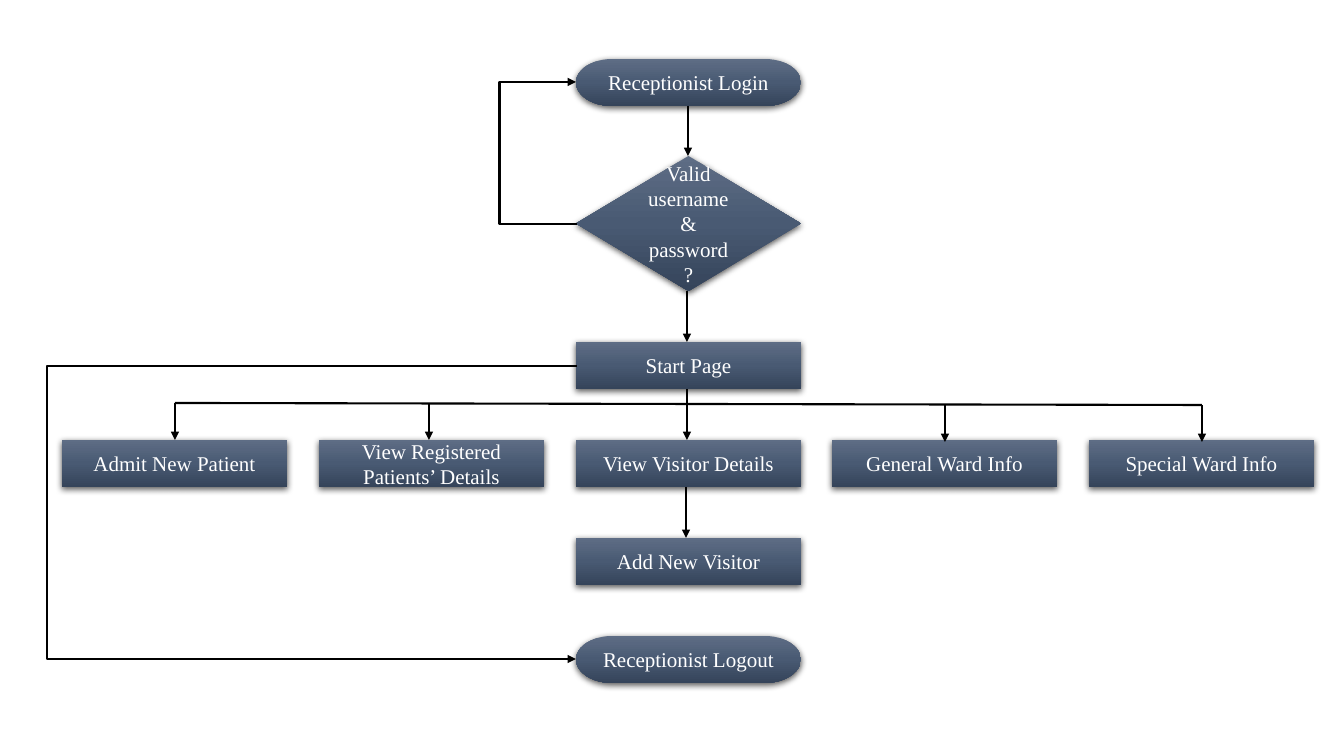
import pptx
import pptx.util
import pptx.dml.color
import pptx.enum.shapes
import pptx.enum.text
import pptx.oxml
import pptx.oxml.ns

EMU_PER_PIXEL = 914400 / 100.8
Kind = pptx.enum.shapes.MSO_SHAPE
Wire = pptx.enum.shapes.MSO_CONNECTOR


def emu(pixels):
    return pptx.util.Emu(round(pixels * EMU_PER_PIXEL))


def color(value):
    return pptx.dml.color.RGBColor.from_string(value)


def element(xml):
    """Parse a DrawingML fragment whose root tag has the prefix a."""
    head, mark, rest = xml.partition(">")
    slash = "/" if head.endswith("/") else ""
    names = pptx.oxml.ns.nsdecls("a")
    return pptx.oxml.parse_xml(f"{head.rstrip('/')} {names}{slash}{mark}{rest}")


def write(frame, text, size=15, font="Times New Roman", ink="FFFFFF"):
    frame.word_wrap = True
    frame.vertical_anchor = pptx.enum.text.MSO_ANCHOR.MIDDLE
    para = frame.paragraphs[0]
    para.alignment = pptx.enum.text.PP_ALIGN.CENTER
    span = para.add_run()
    span.text = text
    span.font.size = pptx.util.Pt(size)
    span.font.name = font
    span.font.color.rgb = color(ink)


class Flowchart:
    stops = ((0, "5E6D85"), (50, "495A73"), (100, "35445A"))
    line_color = "000000"
    line_width = 1.5

    def __init__(self, page):
        self.page = page

    def node(self, text, left, top, kind=Kind.RECTANGLE, width=225, height=47):
        box = self.page.shapes.add_shape(
            kind, emu(left), emu(top), emu(width), emu(height))
        box.line.fill.background()
        box.fill.gradient()
        box.fill.gradient_angle = 270
        stop_list = box._element.spPr.find(".//" + pptx.oxml.ns.qn("a:gsLst"))
        for stop in list(stop_list):
            stop_list.remove(stop)
        for percent, value in self.stops:
            stop_list.append(element(
                f'<a:gs pos="{percent * 1000}"><a:srgbClr val="{value}"/></a:gs>'))
        box._element.spPr.append(element(
            '<a:effectLst><a:outerShdw blurRad="57150" dist="19050" '
            'dir="5400000" algn="ctr" rotWithShape="0"><a:srgbClr val="000000">'
            '<a:alpha val="63000"/></a:srgbClr></a:outerShdw></a:effectLst>'))
        write(box.text_frame, text)

    def line(self, start, end, arrow=True, kind=Wire.STRAIGHT):
        wire = self.page.shapes.add_connector(
            kind, *(emu(value) for value in (*start, *end)))
        wire.line.color.rgb = color(self.line_color)
        wire.line.width = pptx.util.Pt(self.line_width)
        if arrow:
            wire.line._get_or_add_ln().append(element('<a:tailEnd type="triangle"/>'))
        wire._element.spPr.append(element("<a:effectLst/>"))
        return wire

    def loop(self, start, end, turn):
        """Elbow arrow that runs out to x = turn and back."""
        wire = self.line(start, end, kind=Wire.ELBOW)
        ratio = round((turn - start[0]) / (end[0] - start[0]) * 100000)
        geometry = wire._element.spPr.find(pptx.oxml.ns.qn("a:prstGeom"))
        for old in list(geometry):
            geometry.remove(old)
        geometry.append(element(
            f'<a:avLst><a:gd name="adj1" fmla="val {ratio}"/></a:avLst>'))


deck = pptx.Presentation()
deck.slide_width, deck.slide_height = emu(1344), emu(756)
chart = Flowchart(deck.slides.add_slide(deck.slide_layouts[6]))

# Main column
middle = 576
chart.node("Valid username & password ?", middle, 156, Kind.DIAMOND, height=135)
chart.node("Start Page", middle, 342)
chart.node("Add New Visitor", middle, 538)
chart.node("Receptionist Logout", middle, 636, Kind.FLOWCHART_TERMINATOR)
chart.node("Receptionist Login", middle, 59, Kind.FLOWCHART_TERMINATOR)

# Row of choices
choices = ("Admit New Patient", "View Registered Patients’ Details",
           "View Visitor Details", "General Ward Info", "Special Ward Info")
for index, choice in enumerate(choices):
    chart.node(choice, round(62 + 256.75 * index), 440)

# Arrows down the main column
for x, top, bottom in ((688, 106, 156), (687, 291, 342),
                       (687, 389, 440), (686, 487, 538)):
    chart.line((x, top), (x, bottom))

# Branches to the choices
chart.line((175, 403), (1202, 405), arrow=False)
for x, top in ((175, 403), (429, 403), (945, 405), (1202, 405)):
    chart.line((x, top), (x, top + 37))

# Loops back to login and on to logout
chart.loop((577, 224), (576, 82), turn=499)
chart.loop((577, 366), (576, 659), turn=43)

deck.save("out.pptx")
